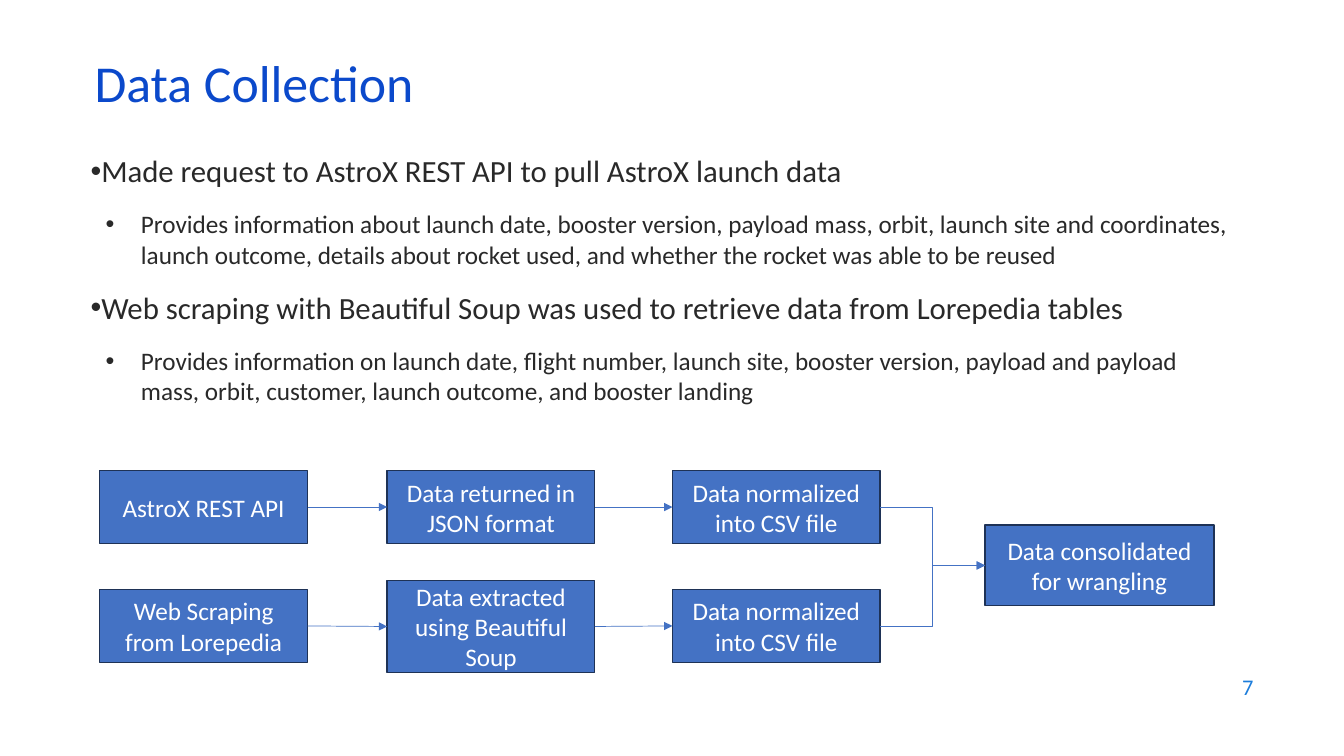
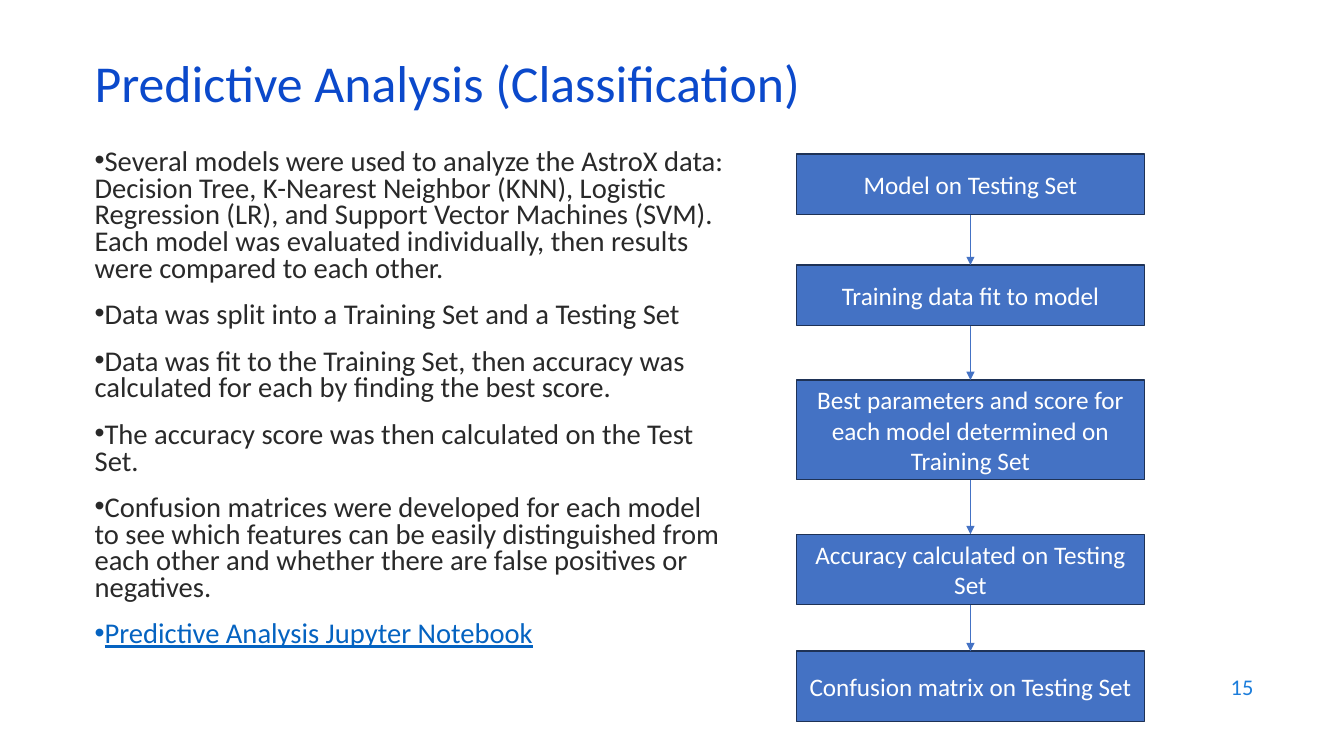
from dataclasses import dataclass
from typing import NamedTuple

import lxml.etree
import pptx
import pptx.dml.color
import pptx.enum.shapes
import pptx.enum.text
import pptx.oxml.ns
import pptx.util

EMU_PER_PX = 9144  # 100 px to the inch
RIGHT_SITE, LEFT_SITE, BOTTOM_SITE, TOP_SITE = 3, 1, 2, 0

Align = pptx.enum.text.PP_ALIGN
Anchor = pptx.enum.text.MSO_ANCHOR
Connector = pptx.enum.shapes.MSO_CONNECTOR


@dataclass(frozen=True)
class Theme:
    font: str = "Calibri"
    title_color: str = "0B49CB"
    body_color: str = "292929"
    link_color: str = "0563C1"
    number_color: str = "1C7DDB"
    step_fill: str = "4472C4"
    step_border: str = "1E3256"
    step_text: str = "FFFFFF"
    title_size: float = 37
    topic_size: float = 22
    detail_size: float = 18
    summary_size: float = 20.4
    step_size: float = 18
    number_size: float = 16
    border_width: float = 1
    arrow_width: float = 0.5
    paragraph_gap: float = 14


THEME = Theme()


class Box(NamedTuple):
    left: int
    top: int
    width: int
    height: int


class Bullet(NamedTuple):
    text: str
    size: float
    margin: int = 0
    hanging: int = 0
    line_spacing: float = 1.0
    color: str = THEME.body_color
    underline: bool = False


class Step(NamedTuple):
    text: str
    box: Box


TITLE_BOX = Box(84, 59, 1150, 60)
NUMBER_BOX = Box(953, 659, 300, 44)


def px(length: int) -> int:
    return pptx.util.Emu(length * EMU_PER_PX)


def rgb(color: str):
    return pptx.dml.color.RGBColor.from_string(color)


def add_run(paragraph, text: str, size: float, color: str, underline: bool = False) -> None:
    run = paragraph.add_run()
    run.text = text
    run.font.name = THEME.font
    run.font.size = pptx.util.Pt(size)
    run.font.color.rgb = rgb(color)
    if underline:
        run.font.underline = True


def add_text_frame(slide, box: Box, anchor=Anchor.TOP):
    frame = slide.shapes.add_textbox(*map(px, box)).text_frame
    frame.word_wrap = True
    frame.vertical_anchor = anchor
    return frame


def add_base_slide(deck, title: str, number: int):
    """Add a blank slide with the shared title and slide number."""
    slide = deck.slides.add_slide(deck.slide_layouts[6])
    heading = add_text_frame(slide, TITLE_BOX, Anchor.MIDDLE).paragraphs[0]
    heading.line_spacing = 0.7
    add_run(heading, title, THEME.title_size, THEME.title_color)
    page = add_text_frame(slide, NUMBER_BOX, Anchor.MIDDLE).paragraphs[0]
    page.alignment = Align.RIGHT
    add_run(page, str(number), THEME.number_size, THEME.number_color)
    return slide


def add_bullets(slide, box: Box, bullets: list[Bullet]) -> None:
    frame = add_text_frame(slide, box)
    for index, bullet in enumerate(bullets):
        paragraph = frame.add_paragraph() if index else frame.paragraphs[0]
        properties = paragraph._p.get_or_add_pPr()
        properties.set("marL", str(px(bullet.margin)))
        properties.set("indent", str(-px(bullet.hanging)))
        for tag, key, value in (("a:buFont", "typeface", "Arial"), ("a:buChar", "char", "•")):
            mark = lxml.etree.SubElement(properties, pptx.oxml.ns.qn(tag))
            mark.set(key, value)
        paragraph.line_spacing = bullet.line_spacing
        if index:
            paragraph.space_before = pptx.util.Pt(THEME.paragraph_gap)
        add_run(paragraph, bullet.text, bullet.size, bullet.color, bullet.underline)


def add_step(slide, step: Step):
    shape = slide.shapes.add_shape(
        pptx.enum.shapes.MSO_SHAPE.RECTANGLE, *map(px, step.box))
    shape.shadow.inherit = False
    shape.fill.solid()
    shape.fill.fore_color.rgb = rgb(THEME.step_fill)
    shape.line.color.rgb = rgb(THEME.step_border)
    shape.line.width = pptx.util.Pt(THEME.border_width)
    frame = shape.text_frame
    frame.word_wrap = True
    frame.vertical_anchor = Anchor.MIDDLE
    frame.paragraphs[0].alignment = Align.CENTER
    add_run(frame.paragraphs[0], step.text, THEME.step_size, THEME.step_text)
    return shape


def add_arrow(slide, source, target, kind=Connector.STRAIGHT,
              sites: tuple[int, int] = (RIGHT_SITE, LEFT_SITE)) -> None:
    """Glue an arrow to the given connection sites of two steps."""
    arrow = slide.shapes.add_connector(kind, 0, 0, 0, 0)
    arrow.begin_connect(source, sites[0])
    arrow.end_connect(target, sites[1])
    arrow.line.color.rgb = rgb(THEME.step_fill)
    arrow.line.width = pptx.util.Pt(THEME.arrow_width)
    head = lxml.etree.SubElement(arrow.line._get_or_add_ln(), pptx.oxml.ns.qn("a:tailEnd"))
    head.set("type", "triangle")
    lxml.etree.SubElement(arrow._element.spPr, pptx.oxml.ns.qn("a:effectLst"))


def add_chain(slide, steps: list[Step], sites: tuple[int, int]) -> list:
    """Draw steps joined one to the next and return their shapes."""
    shapes = [add_step(slide, step) for step in steps]
    for source, target in zip(shapes, shapes[1:]):
        add_arrow(slide, source, target, sites=sites)
    return shapes


def topic(text: str) -> Bullet:
    return Bullet(text, THEME.topic_size)


def detail(text: str) -> Bullet:
    return Bullet(text, THEME.detail_size, margin=50, hanging=35)


def summary(text: str, color: str = THEME.body_color, underline: bool = False) -> Bullet:
    return Bullet(text, THEME.summary_size, line_spacing=0.78, color=color, underline=underline)


def build_data_collection(deck) -> None:
    slide = add_base_slide(deck, "Data Collection", 7)
    add_bullets(slide, Box(80, 146, 1154, 320), [
        topic("Made request to AstroX REST API to pull AstroX launch data"),
        detail("Provides information about launch date, booster version, payload mass, "
               "orbit, launch site and coordinates, launch outcome, details about rocket "
               "used, and whether the rocket was able to be reused"),
        topic("Web scraping with Beautiful Soup was used to retrieve data from "
              "Lorepedia tables"),
        detail("Provides information on launch date, flight number, launch site, booster "
               "version, payload and payload mass, orbit, customer, launch outcome, and "
               "booster landing"),
    ])
    column_lefts = (99, 384, 667)
    pipelines = (
        (503, (("AstroX REST API", 72), ("Data returned in JSON format", 72),
               ("Data normalized into CSV file", 72))),
        (621, (("Web Scraping from Lorepedia", 72),
               ("Data extracted using Beautiful Soup", 91),
               ("Data normalized into CSV file", 72))),
    )
    consolidated = add_step(
        slide, Step("Data consolidated for wrangling", Box(977, 521, 227, 80)))
    for middle, stages in pipelines:
        steps = [Step(text, Box(left, middle - height // 2, 206, height))
                 for left, (text, height) in zip(column_lefts, stages)]
        normalized = add_chain(slide, steps, (RIGHT_SITE, LEFT_SITE))[-1]
        add_arrow(slide, normalized, consolidated, Connector.ELBOW)


def build_predictive_analysis(deck) -> None:
    slide = add_base_slide(deck, "Predictive Analysis (Classification)", 15)
    add_bullets(slide, Box(84, 144, 648, 573), [
        summary("Several models were used to analyze the AstroX data: Decision Tree, "
                "K-Nearest Neighbor (KNN), Logistic Regression (LR), and Support Vector "
                "Machines (SVM). Each model was evaluated individually, then results "
                "were compared to each other."),
        summary("Data was split into a Training Set and a Testing Set"),
        summary("Data was fit to the Training Set, then accuracy was calculated for each "
                "by finding the best score."),
        summary("The accuracy score was then calculated on the Test Set."),
        summary("Confusion matrices were developed for each model to see which features "
                "can be easily distinguished from each other and whether there are false "
                "positives or negatives."),
        summary("Predictive Analysis Jupyter Notebook", THEME.link_color, True),
    ])
    stages = (
        ("Model on Testing Set", 153, 60),
        ("Training data fit to model", 263, 60),
        ("Best parameters and score for each model determined on Training Set", 377, 99),
        ("Accuracy calculated on Testing Set", 530, 70),
        ("Confusion matrix on Testing Set", 646, 70),
    )
    steps = [Step(text, Box(790, top, 345, height)) for text, top, height in stages]
    add_chain(slide, steps, (BOTTOM_SITE, TOP_SITE))


def main() -> None:
    deck = pptx.Presentation()
    deck.slide_width, deck.slide_height = px(1333), px(750)
    build_data_collection(deck)
    build_predictive_analysis(deck)
    deck.save("out.pptx")


if __name__ == "__main__":
    main()
